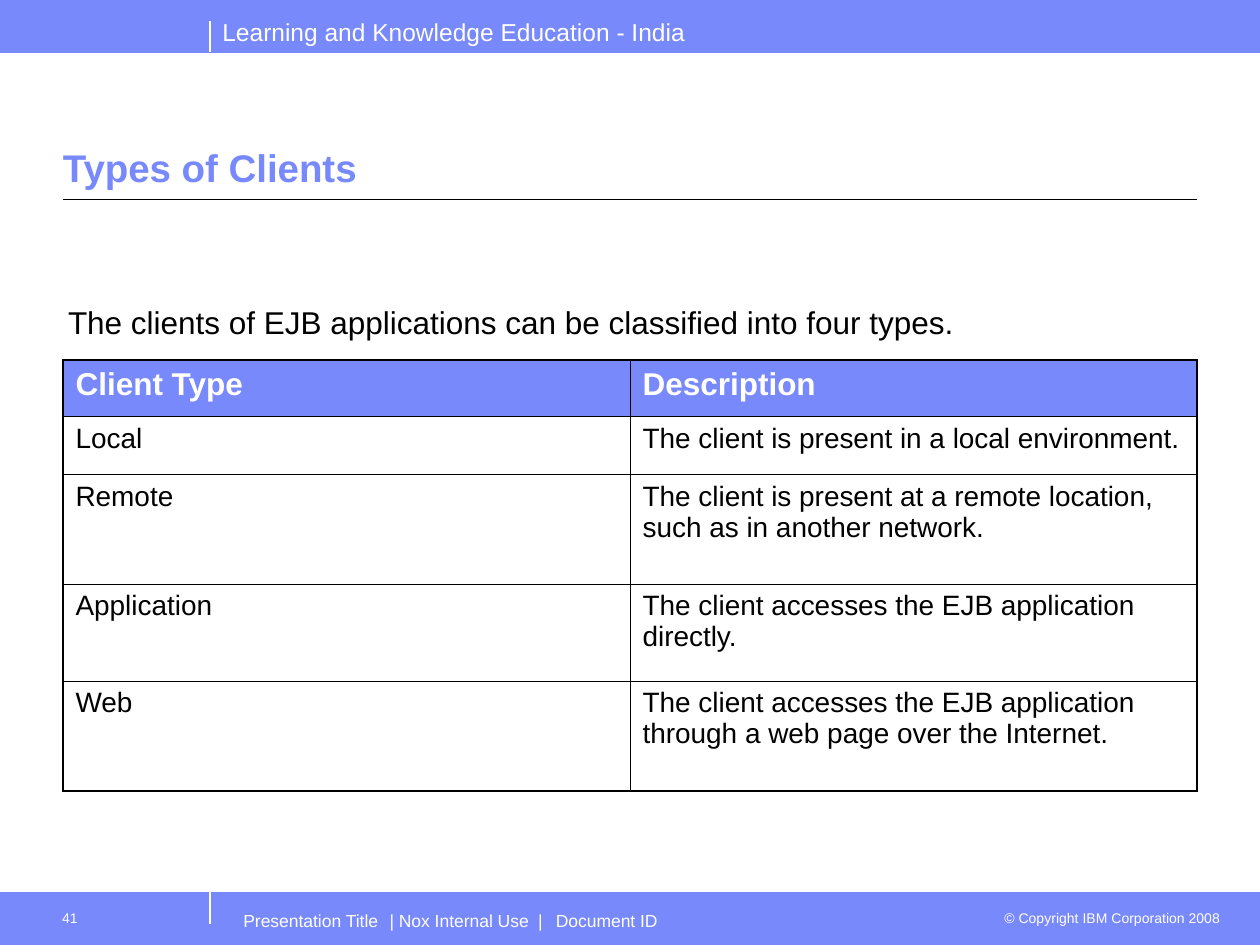
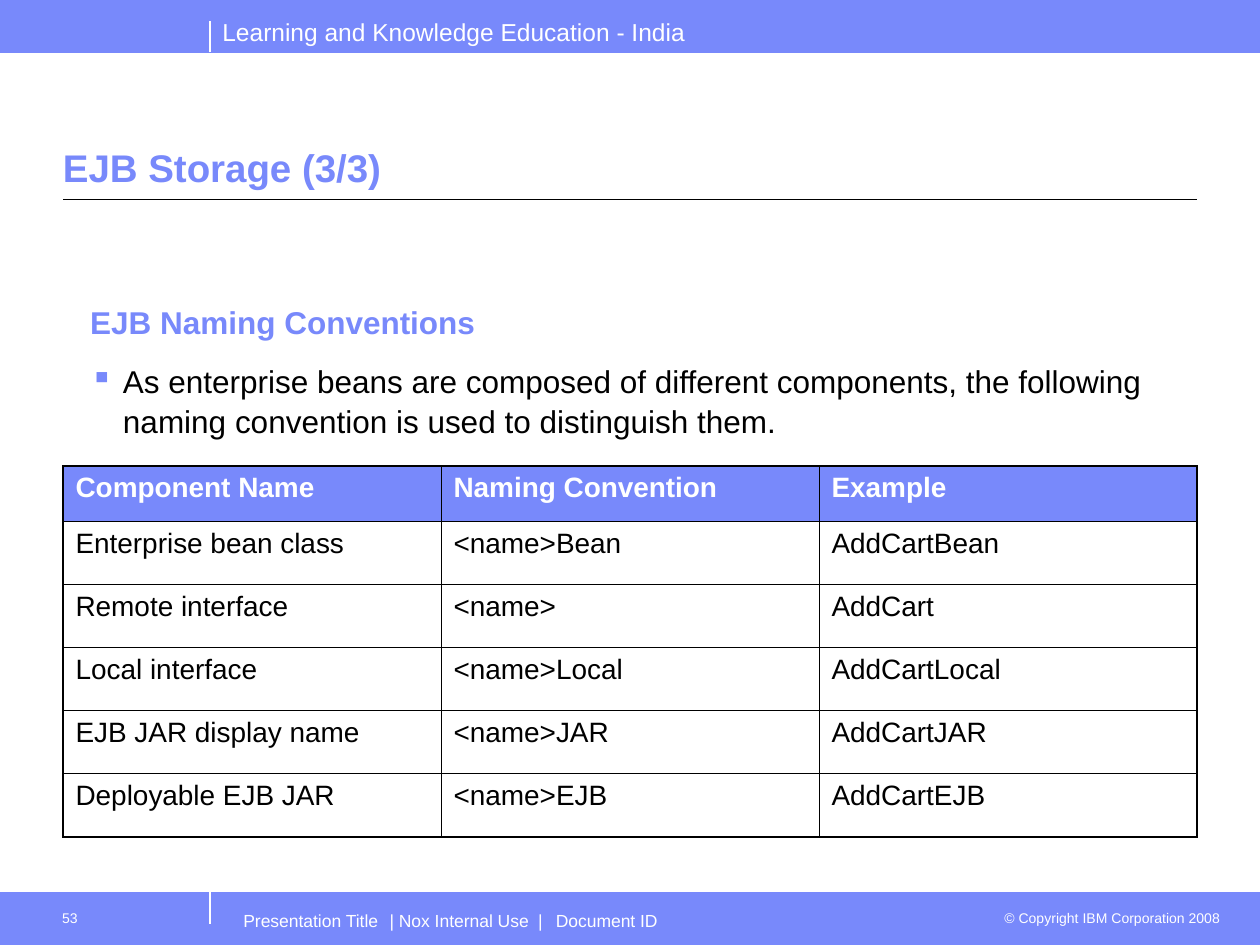
from pptx import Presentation
from pptx.dml.color import RGBColor
from pptx.enum.shapes import MSO_CONNECTOR, MSO_SHAPE
from pptx.enum.text import MSO_ANCHOR, PP_ALIGN
from pptx.oxml.ns import qn
from pptx.oxml.xmlchemy import OxmlElement
from pptx.util import Inches, Pt

BLUE = RGBColor(0x78, 0x89, 0xFB)
WHITE = RGBColor(0xFF, 0xFF, 0xFF)
BLACK = RGBColor(0x00, 0x00, 0x00)
FONT = "Arial"
STRAIGHT = MSO_CONNECTOR.STRAIGHT
RECTANGLE = MSO_SHAPE.RECTANGLE
TOP, BOTTOM = MSO_ANCHOR.TOP, MSO_ANCHOR.BOTTOM
LEFT, RIGHT = PP_ALIGN.LEFT, PP_ALIGN.RIGHT

deck = Presentation()
deck.slide_width = Inches(10)
deck.slide_height = Inches(7.5)
COLUMN = deck.slide_width / 60
ROW = deck.slide_height / 180

BAND_ROWS = 10
FOOTER_ROW = 170
DIVIDER_COLUMN = 10
MARGIN, CONTENT_COLUMNS = 3, 54
HANGING = Inches(0.26)
OUTER_BORDER, INNER_BORDER = Pt(1.08), Pt(0.45)
FOOTER_TABS = (1.16, 2.34, 2.48)
FOOTER_TEXT = "Presentation Title\t| Nox Internal Use\t|\tDocument ID"
FOOTER_INSETS = (0.1, 0.07, 0.1, 0.05)

PAGES = [
    {
        "title": "Types of Clients",
        "number": "41",
        "intro_place": (2.94, 56.2, CONTENT_COLUMNS, 19),
        "intro": [("The clients of EJB applications can be classified into four types.", BLACK, False)],
        "table_row": 68.6,
        "row_heights": [10.8, 11, 20.9, 18.5, 20.9],
        "header_size": 18,
        "header_gap": 11.2,
        "cells": [
            ("Client Type", "Description"),
            ("Local", "The client is present in a local environment."),
            ("Remote", "The client is present at a remote location, such as in another network."),
            ("Application", "The client accesses the EJB application directly."),
            ("Web", "The client accesses the EJB application through a web page over the Internet."),
        ],
    },
    {
        "title": "EJB Storage (3/3)",
        "number": "53",
        "intro_place": (4, 56.2, CONTENT_COLUMNS, 108.8),
        "intro": [
            ("EJB Naming Conventions", BLUE, False),
            ("As enterprise beans are composed of different components, the following "
             "naming convention is used to distinguish them.", BLACK, True),
        ],
        "table_row": 88.8,
        "row_heights": [10.6] + [12] * 5,
        "header_size": 16,
        "header_gap": 10,
        "cells": [
            ("Component Name", "Naming Convention", "Example"),
            ("Enterprise bean class", "<name>Bean", "AddCartBean"),
            ("Remote interface", "<name>", "AddCart"),
            ("Local interface", "<name>Local", "AddCartLocal"),
            ("EJB JAR display name", "<name>JAR", "AddCartJAR"),
            ("Deployable EJB JAR", "<name>EJB", "AddCartEJB"),
        ],
    },
]


def add_text(slide, place, text, size, color, bold=False, align=LEFT,
             anchor=TOP, insets=(0.1, 0.05, 0.1, 0.05)):
    """Add a text box at a grid place (column, row, columns, rows) and return its frame."""
    left, top, width, height = place
    box = slide.shapes.add_textbox(
        round(left * COLUMN), round(top * ROW), round(width * COLUMN), round(height * ROW))
    frame = box.text_frame
    frame.word_wrap = True
    frame.vertical_anchor = anchor
    (frame.margin_left, frame.margin_top,
     frame.margin_right, frame.margin_bottom) = map(Inches, insets)
    frame.text = text
    for para in frame.paragraphs:
        para.alignment = align
        for span in para.runs:
            span.font.name = FONT
            span.font.size = Pt(size)
            span.font.bold = bold
            span.font.color.rgb = color
    return frame


def add_line(slide, start, end, color, weight):
    """Draw a straight line between two (column, row) grid points."""
    line = slide.shapes.add_connector(
        STRAIGHT, round(start[0] * COLUMN), round(start[1] * ROW),
        round(end[0] * COLUMN), round(end[1] * ROW))
    line.line.color.rgb = color
    line.line.width = Pt(weight)
    line._element.spPr.append(OxmlElement("a:effectLst"))


for page in PAGES:
    slide = deck.slides.add_slide(deck.slide_layouts[6])

    # Bands, dividers and title rule
    for band_row in (FOOTER_ROW, 0):
        band = slide.shapes.add_shape(
            RECTANGLE, 0, round(band_row * ROW), deck.slide_width, round(BAND_ROWS * ROW))
        band.shadow.inherit = False
        band.fill.solid()
        band.fill.fore_color.rgb = BLUE
        band.line.color.rgb = BLUE
        band.line.width = Pt(0.75)
    for edge_row, divider_end in ((BAND_ROWS, 4), (FOOTER_ROW, 176)):
        add_line(slide, (0, edge_row), (60, edge_row), BLUE, 0.5)
        divider_rows = sorted((edge_row, divider_end))
        add_line(slide, (DIVIDER_COLUMN, divider_rows[1]),
                 (DIVIDER_COLUMN, divider_rows[0]), WHITE, 0.75)
    add_line(slide, (MARGIN, 38), (MARGIN + CONTENT_COLUMNS, 38), BLACK, 0.75)

    # Header, title and footer text
    add_text(slide, (DIVIDER_COLUMN, 2, 24, 8),
             "Learning and Knowledge Education - India", 14, WHITE, anchor=BOTTOM)
    add_text(slide, (MARGIN, 15.4, CONTENT_COLUMNS, 22), page["title"], 22, BLUE,
             bold=True, anchor=BOTTOM, insets=(0, 0.05, 0, 0.05))
    add_text(slide, (46.4, 172, 12.3, 5.8), "© Copyright IBM Corporation 2008",
             8, WHITE, align=RIGHT)
    add_text(slide, (2, 171.6, 8, 8.4), page["number"], 8, WHITE,
             insets=(0.16, 0.07, 0.1, 0.05))
    footer = add_text(slide, (11, 171.6, 36, 8.4), FOOTER_TEXT, 10, WHITE, insets=FOOTER_INSETS)
    tab_list = OxmlElement("a:tabLst")
    for position in FOOTER_TABS:
        tab = OxmlElement("a:tab")
        tab.set("pos", str(Inches(position)))
        tab.set("algn", "l")
        tab_list.append(tab)
    footer.paragraphs[0]._p.get_or_add_pPr().append(tab_list)

    # Introduction above the table
    intro_text = "\n".join(text for text, color, bulleted in page["intro"])
    intro = add_text(slide, page["intro_place"], intro_text, 18, BLACK, insets=(0.05,) * 4)
    for para, (text, color, bulleted) in zip(intro.paragraphs, page["intro"]):
        properties = para._p.get_or_add_pPr()
        properties.set("marL", str(HANGING))
        properties.set("indent", str(-HANGING))
        if bulleted:
            bullet_color = OxmlElement("a:buClr")
            blue = OxmlElement("a:srgbClr")
            blue.set("val", str(BLUE))
            bullet_color.append(blue)
            bullet = OxmlElement("a:buChar")
            bullet.set("char", "▪")
            properties.extend([bullet_color, bullet])
        para.line_spacing = 1.05
        para.space_after = Pt(11.2)
        para.runs[0].font.color.rgb = color
        para.runs[0].font.bold = color == BLUE

    # Table
    cells = page["cells"]
    last_row, last_column = len(cells) - 1, len(cells[0]) - 1
    table = slide.shapes.add_table(
        len(cells), len(cells[0]), round(MARGIN * COLUMN), round(page["table_row"] * ROW),
        round(CONTENT_COLUMNS * COLUMN), round(sum(page["row_heights"]) * ROW)).table
    for table_column in table.columns:
        table_column.width = round(CONTENT_COLUMNS * COLUMN / len(cells[0]))
    for r, values in enumerate(cells):
        table.rows[r].height = round(page["row_heights"][r] * ROW)
        is_header = r == 0
        for c, value in enumerate(values):
            cell = table.cell(r, c)
            cell.text = value
            para = cell.text_frame.paragraphs[0]
            para.space_after = Pt(page["header_gap"] if is_header else 10)
            font = para.runs[0].font
            font.name = FONT
            font.size = Pt(page["header_size"] if is_header else 16)
            font.bold = is_header
            font.color.rgb = WHITE if is_header else BLACK

            on_edge = {"a:lnL": c == 0, "a:lnR": c == last_column,
                       "a:lnT": r == 0, "a:lnB": r == last_row}
            cell_properties = cell._tc.get_or_add_tcPr()
            for tag, outer in on_edge.items():
                border = OxmlElement(tag)
                border.set("w", str(OUTER_BORDER if outer else INNER_BORDER))
                border_fill = OxmlElement("a:solidFill")
                border_color = OxmlElement("a:srgbClr")
                border_color.set("val", str(BLACK))
                border_fill.append(border_color)
                border.append(border_fill)
                cell_properties.append(border)
            if is_header:
                cell.fill.solid()
                cell.fill.fore_color.rgb = BLUE
            else:
                cell.fill.background()
            # The fill element must follow the border elements
            for tag in ("a:solidFill", "a:noFill"):
                for fill in cell_properties.findall(qn(tag)):
                    cell_properties.append(fill)

deck.save("out.pptx")
